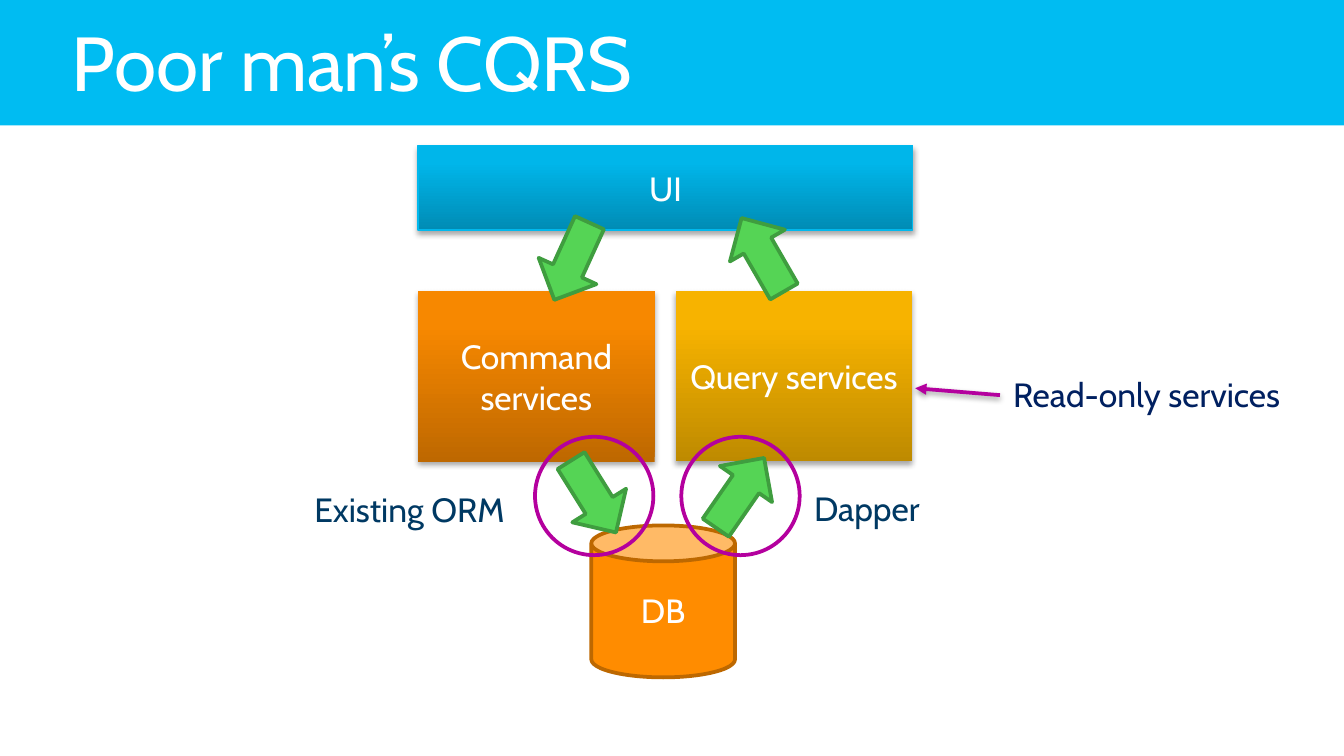
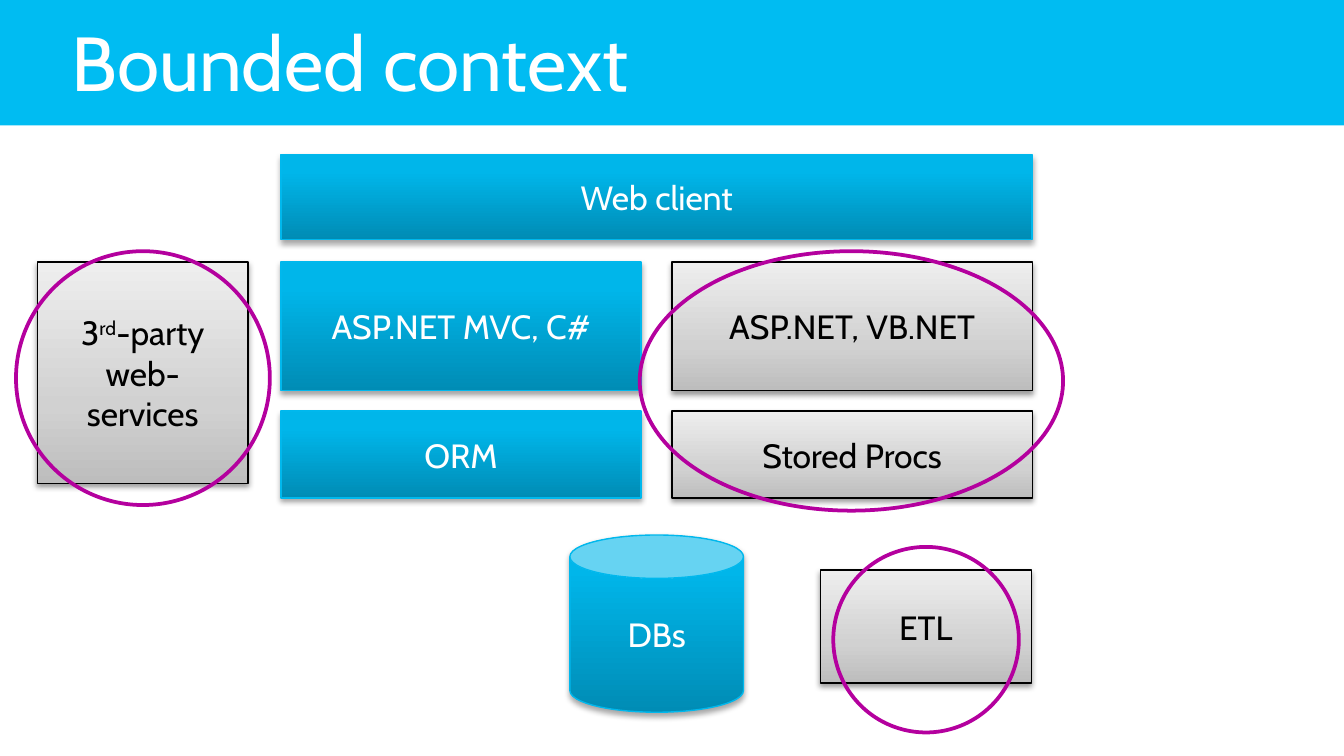
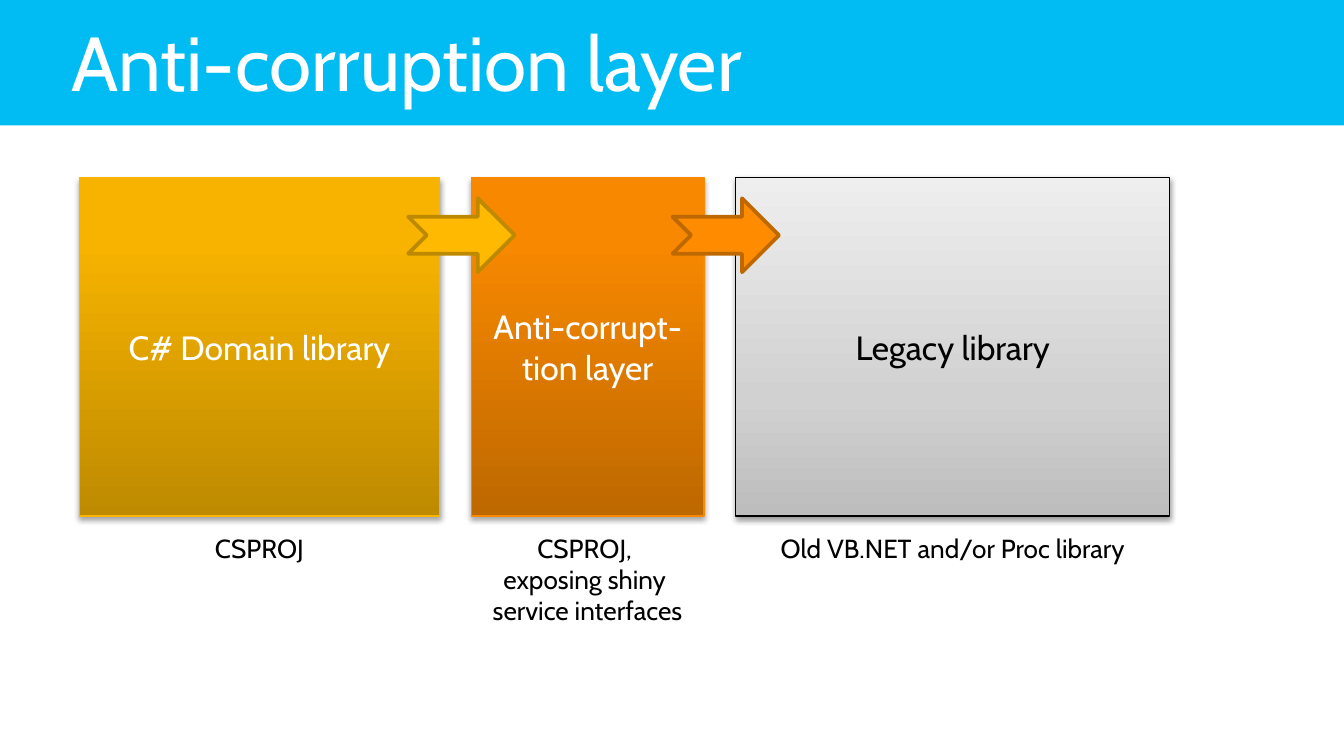
"""Build three architecture slides: CQRS, bounded context and anti-corruption layer."""
from copy import deepcopy

from lxml.etree import SubElement
from pptx import Presentation
from pptx.dml.color import RGBColor
from pptx.enum.shapes import MSO_CONNECTOR, MSO_SHAPE as SHAPE
from pptx.enum.text import MSO_ANCHOR as ANCHOR, MSO_AUTO_SIZE as AUTO_SIZE, PP_ALIGN as ALIGN
from pptx.oxml.ns import qn
from pptx.util import Pt

FONT = "Cabin"
WHITE = RGBColor(0xFF, 0xFF, 0xFF)
BLACK = RGBColor(0, 0, 0)
BAND_BLUE = RGBColor(0x00, 0xBC, 0xF2)
NAVY = RGBColor(0x00, 0x39, 0x63)
DARK_NAVY = RGBColor(0x00, 0x20, 0x60)
PURPLE = RGBColor(0xB4, 0x00, 0x9E)
GREEN = RGBColor(0x55, 0xD4, 0x55)
DARK_GREEN = RGBColor(0x3F, 0x9D, 0x3F)
ORANGE = RGBColor(0xFF, 0x8C, 0x00)
DARK_ORANGE = RGBColor(0xBD, 0x68, 0x00)
YELLOW = RGBColor(0xFF, 0xB9, 0x00)
DARK_YELLOW = RGBColor(0xBD, 0x89, 0x00)
BLUE_EDGE = RGBColor(0x00, 0xB8, 0xED)
ORANGE_EDGE = RGBColor(0xF9, 0x89, 0x00)
YELLOW_EDGE = RGBColor(0xF9, 0xB5, 0x00)

BLUE_STOPS = ((0, RGBColor(0x00, 0x8C, 0xB5)), (0.8, RGBColor(0x00, 0xB6, 0xEA)),
              (1, RGBColor(0x00, 0xB7, 0xEC)))
ORANGE_STOPS = ((0, RGBColor(0xBE, 0x68, 0x00)), (0.8, RGBColor(0xF7, 0x88, 0x00)),
                (1, RGBColor(0xF8, 0x88, 0x00)))
YELLOW_STOPS = ((0, RGBColor(0xBE, 0x8A, 0x00)), (0.8, RGBColor(0xF7, 0xB3, 0x00)),
                (1, RGBColor(0xF8, 0xB4, 0x00)))
GREY_STOPS = ((0, RGBColor(0xBD, 0xBD, 0xBD)), (0.35, RGBColor(0xD1, 0xD1, 0xD1)),
              (1, RGBColor(0xEE, 0xEE, 0xEE)))

DEEP_SHADOW = (35, 1.8)
SOFT_SHADOW = (38, 1.6)
BLUE = (BLUE_STOPS, BLUE_EDGE, WHITE, DEEP_SHADOW)
GREY = (GREY_STOPS, BLACK, BLACK, SOFT_SHADOW)
ORANGE_PLAIN = (ORANGE_STOPS, None, WHITE, DEEP_SHADOW)
YELLOW_PLAIN = (YELLOW_STOPS, None, WHITE, DEEP_SHADOW)
ORANGE_EDGED = (ORANGE_STOPS, ORANGE_EDGE, WHITE, DEEP_SHADOW)
YELLOW_EDGED = (YELLOW_STOPS, YELLOW_EDGE, WHITE, DEEP_SHADOW)

CQRS_BLOCKS = [
    ("UI", BLUE, (224, 77.8, 265, 45.4)),
    ("Command services", ORANGE_PLAIN, (224, 156, 126.7, 91.5)),
    ("Query services", YELLOW_PLAIN, (362, 155.8, 126.7, 91.5)),
]
CQRS_DATABASE = ("DB", (316.8, 281.5, 77, 81.4))
FLOW_SIZE = (34, 45.4)
FLOWS = [(318, 266, 328), (408.6, 136.5, 150), (396.4, 264, 214.7), (306.4, 140, 24.5)]
CQRS_RINGS = [(286.6, 234, 63.4, 63.4), (365, 234, 63.4, 63.4)]
CQRS_LABELS = [
    ("Existing ORM", NAVY, (161.3, 258.5, 147.6, 29), True),
    ("Dapper", NAVY, (429, 257.8, 147.6, 29), True),
    ("Read-only services", DARK_NAVY, (535.7, 196.6, 163.4, 29), False),
]
POINTER = (535.7, 211.7, 490.3, 208)

LEFT, RIGHT, COLUMN = 150.5, 360, 193
SERVICE_TOP, DATA_TOP, SIDE_WIDTH = 140.4, 220.3, 113
CONTEXT_BLOCKS = [
    (SHAPE.RECTANGLE, "Web client", BLUE, (LEFT, 82.8, RIGHT + COLUMN - LEFT, 45.4)),
    (SHAPE.RECTANGLE, "ASP.NET MVC, C#", BLUE, (LEFT, SERVICE_TOP, COLUMN, 69)),
    (SHAPE.RECTANGLE, "ASP.NET, VB.NET", GREY, (RIGHT, SERVICE_TOP, COLUMN, 69)),
    (SHAPE.CAN, "DBs", BLUE, (305.3, 286.6, 93, 95)),
    (SHAPE.RECTANGLE, "3^rd^-party web-services", GREY, (20, SERVICE_TOP, SIDE_WIDTH, 118.6)),
    (SHAPE.RECTANGLE, "ETL", GREY, (439.5, 305.5, SIDE_WIDTH, 60.5)),
    (SHAPE.RECTANGLE, "Stored Procs", GREY, (RIGHT, DATA_TOP, COLUMN, 46.6)),
    (SHAPE.RECTANGLE, "ORM", BLUE, (LEFT, DATA_TOP, COLUMN, 46.6)),
]
CONTEXT_RINGS = [(8.6, 134.6, 136, 136), (446.4, 293, 99.4, 99.4), (342.7, 134.6, 226.8, 139)]

LAYERS = [
    ("C# Domain library", YELLOW_EDGED, 193, "CSPROJ"),
    ("Anti-corrupt-tion layer", ORANGE_EDGED, 124.6,
     "CSPROJ, \vexposing shiny \vservice interfaces"),
    ("Legacy library", GREY, 232.6, "Old VB.NET and/or Proc library"),
]
LAYER_LEFT, LAYER_TOP, LAYER_HEIGHT, LAYER_GAP = 42.5, 95, 181.4, 17
CAPTION_TOP, CAPTION_MIN_WIDTH = 281.5, 193
BRIDGES = [(YELLOW, DARK_YELLOW), (ORANGE, DARK_ORANGE)]
BRIDGE_TOP, BRIDGE_SIZE, BRIDGE_OVERLAP = 106.2, (57, 39.6), 16.8


def points(values):
    return [Pt(value) for value in values]


def write(shape, text, size, color, align):
    """Fill the one paragraph of a shape; parts between carets are superscript."""
    paragraph = shape.text_frame.paragraphs[0]
    paragraph.alignment = align
    if "^" in text:
        for index, part in enumerate(text.split("^")):
            run = paragraph.add_run()
            run.text = part
            if index % 2:
                run.font._element.set("baseline", "30000")
    else:
        paragraph.text = text
    paragraph.font.name = FONT
    paragraph.font.size = Pt(size)
    paragraph.font.color.rgb = color


def add_shadow(properties, opacity, distance):
    effects = properties.find(qn("a:effectLst"))
    if effects is None:
        effects = SubElement(properties, qn("a:effectLst"))
    shadow = SubElement(effects, qn("a:outerShdw"), blurRad=str(Pt(3.1)), dist=str(Pt(distance)),
                        dir="5400000", rotWithShape="0")
    color = SubElement(shadow, qn("a:srgbClr"), val=str(BLACK))
    SubElement(color, qn("a:alpha"), val=str(opacity * 1000))


def add_shape(slide, kind, box, fill=None, line=None, line_width=2):
    shape = slide.shapes.add_shape(kind, *points(box))
    shape.shadow.inherit = False
    if fill is None:
        shape.fill.background()
    else:
        shape.fill.solid()
        shape.fill.fore_color.rgb = fill
    if line is None:
        shape.line.fill.background()
    else:
        shape.line.color.rgb = line
        shape.line.width = Pt(line_width)
    return shape


def add_block(slide, text, style, box, kind=SHAPE.RECTANGLE):
    stops, edge, text_color, shadow = style
    shape = add_shape(slide, kind, box, None, edge, 0.75)
    shape.fill.gradient()
    shape.fill.gradient_angle = 90
    stop_list = shape.element.spPr.find(qn("a:gradFill")).find(qn("a:gsLst"))
    stop_list.append(deepcopy(stop_list[0]))
    for stop, (position, color) in zip(shape.fill.gradient_stops, stops):
        stop.position = position
        stop.color.rgb = color
    add_shadow(shape.element.spPr, *shadow)
    write(shape, text, 18, text_color, ALIGN.CENTER)


def add_label(slide, text, size, color, box, align=ALIGN.LEFT, wrap=True):
    label = slide.shapes.add_textbox(*points(box))
    label.text_frame.word_wrap = wrap
    label.text_frame.auto_size = AUTO_SIZE.SHAPE_TO_FIT_TEXT
    write(label, text, size, color, align)


def add_rings(slide, boxes):
    for box in boxes:
        add_shape(slide, SHAPE.OVAL, box, line=PURPLE)


def add_titled_slide(presentation, text):
    slide = presentation.slides.add_slide(presentation.slide_layouts[5])
    title = slide.shapes.title
    title.left, title.top, title.width, title.height = points((31, -1.4, 648, 67.7))
    title.text_frame.vertical_anchor = ANCHOR.MIDDLE
    title.text_frame.auto_size = AUTO_SIZE.NONE
    write(title, text, 41, WHITE, ALIGN.LEFT)
    return slide


def build_cqrs(slide):
    for text, style, box in CQRS_BLOCKS:
        add_block(slide, text, style, box)
    text, box = CQRS_DATABASE
    database = add_shape(slide, SHAPE.CAN, box, ORANGE, DARK_ORANGE)
    write(database, text, 18, WHITE, ALIGN.CENTER)
    width, height = FLOW_SIZE
    for center_x, center_y, rotation in FLOWS:
        box = (center_x - width / 2, center_y - height / 2, width, height)
        add_shape(slide, SHAPE.DOWN_ARROW, box, GREEN, DARK_GREEN).rotation = rotation
    add_rings(slide, CQRS_RINGS)
    for text, color, box, wrap in CQRS_LABELS:
        add_label(slide, text, 18, color, box, wrap=wrap)
    pointer = slide.shapes.add_connector(MSO_CONNECTOR.STRAIGHT, *points(POINTER))
    pointer.line.color.rgb = PURPLE
    pointer.line.width = Pt(2)
    SubElement(pointer.line._get_or_add_ln(), qn("a:tailEnd"), type="triangle")
    add_shadow(pointer.element.spPr, *SOFT_SHADOW)


def build_context(slide):
    for kind, text, style, box in CONTEXT_BLOCKS:
        add_block(slide, text, style, box, kind)
    add_rings(slide, CONTEXT_RINGS)


def build_layers(slide):
    left, right_edges = LAYER_LEFT, []
    for text, style, width, caption in LAYERS:
        add_block(slide, text, style, (left, LAYER_TOP, width, LAYER_HEIGHT))
        caption_width = max(width, CAPTION_MIN_WIDTH)
        caption_left = left + (width - caption_width) / 2
        caption_height = 24.5 + 17 * caption.count("\v")
        add_label(slide, caption, 14, BLACK,
                  (caption_left, CAPTION_TOP, caption_width, caption_height), ALIGN.CENTER)
        right_edges.append(left + width)
        left += width + LAYER_GAP
    for edge, (fill, line) in zip(right_edges, BRIDGES):
        box = (edge - BRIDGE_OVERLAP, BRIDGE_TOP, *BRIDGE_SIZE)
        add_shape(slide, SHAPE.NOTCHED_RIGHT_ARROW, box, fill, line)


SLIDES = [
    ("Poor man’s CQRS", build_cqrs),
    ("Bounded context", build_context),
    ("Anti-corruption layer", build_layers),
]

presentation = Presentation()
presentation.slide_width, presentation.slide_height = points((720, 405))
for title_text, build in SLIDES:
    build(add_titled_slide(presentation, title_text))

band = add_shape(presentation.slides[0], SHAPE.RECTANGLE, (0, -0.5, 720, 67.7), BAND_BLUE)
presentation.slide_layouts[5].shapes.element.insert(2, band.element)
presentation.save("out.pptx")
